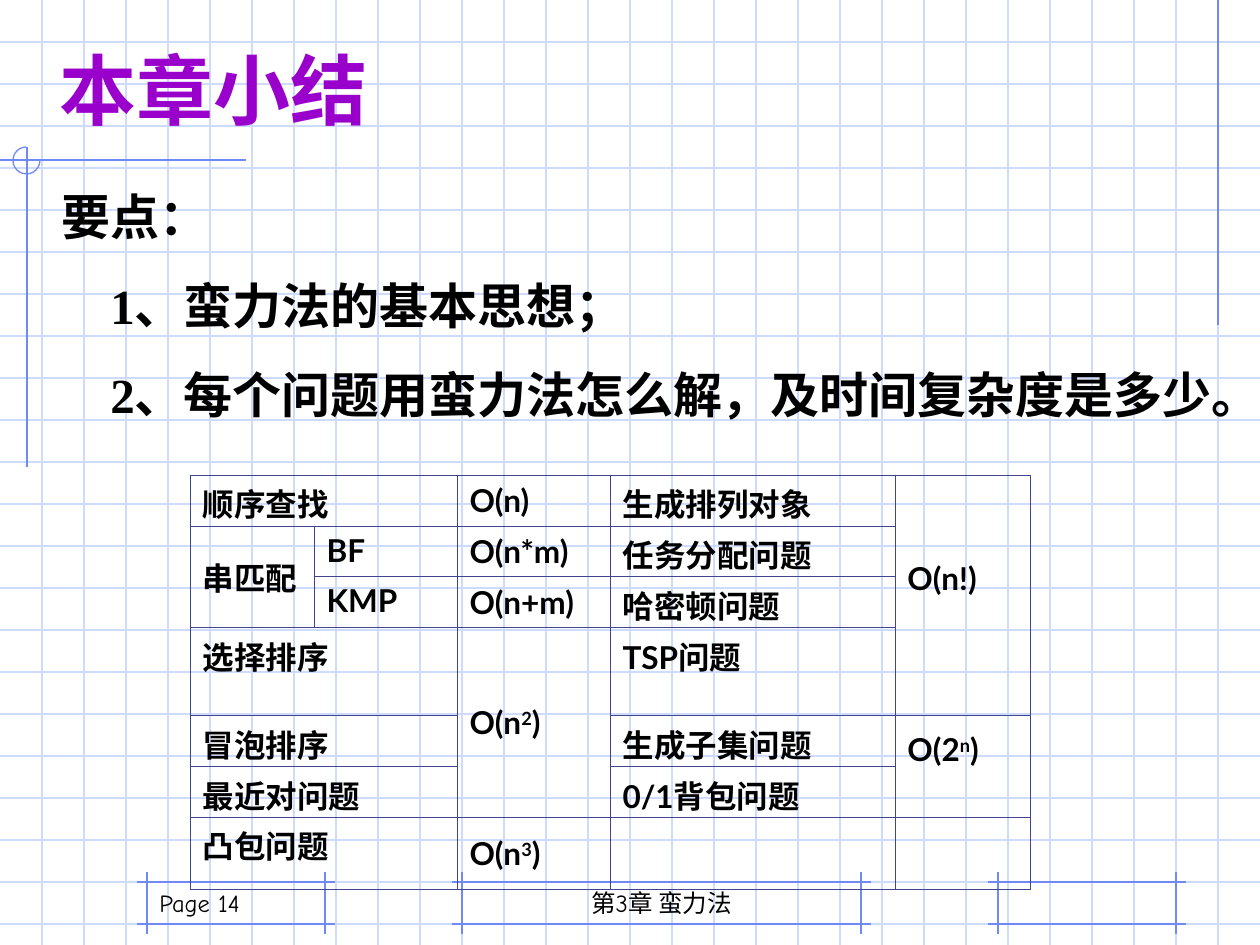
from lxml import etree
from pptx import Presentation
from pptx import util as u
from pptx.dml.color import RGBColor
from pptx.enum import shapes, text
from pptx.oxml import ns

SCALE = 914400 // 126
WIDTH, HEIGHT = 1260, 945

THEME = {
    "black": "000000", "title": "9900CC", "grid": "CFDBFD",
    "accent": "6F89F7", "border": "40458C",
    "cjk": "Noto Sans CJK SC", "body": "Times New Roman",
    "table": "Lato", "footer": "Comic Neue",
    "title_size": 44, "body_size": 28, "table_size": 18, "footer_size": 14,
}

# Content: (text, first-line indent in px)
TITLE = "本章小结"
POINTS = [
    ("要点：", 0),
    ("1、蛮力法的基本思想；", 49),
    ("2、每个问题用蛮力法怎么解，及时间复杂度是多少。", 49),
]
FOOTERS = [
    ("Page 14", 147, 262, text.PP_ALIGN.LEFT),
    ("第3章 蛮力法", 462, 399, text.PP_ALIGN.CENTER),
]

# Text between carets is superscript
TABLE = [
    ["顺序查找", "", "O(n)", "生成排列对象", "O(n!)"],
    ["串匹配", "BF", "O(n*m)", "任务分配问题", ""],
    ["", "KMP", "O(n+m)", "哈密顿问题", ""],
    ["选择排序", "", "O(n^2^)", "TSP问题", ""],
    ["冒泡排序", "", "", "生成子集问题", "O(2^n^)"],
    ["最近对问题", "", "", "0/1背包问题", ""],
    ["凸包问题", "", "O(n^3^)", "", ""],
]
COLUMNS = [124, 143, 153, 285, 135]
ROWS = [51, 50, 51, 88, 51, 50, 64]
MERGES = [((row, 0), (row, 1)) for row in (0, 3, 4, 5, 6)]
MERGES += [((1, 0), (2, 0)), ((3, 2), (5, 2)), ((0, 4), (3, 4)), ((4, 4), (5, 4))]
MIDDLE_COLUMNS = (2, 4)

# Lines: x1, y1, x2, y2
GRID_STEP = 42
GRID = [(0, y, WIDTH, y) for y in range(GRID_STEP, HEIGHT, GRID_STEP)]
GRID += [(x, 0, x, HEIGHT) for x in range(GRID_STEP, WIDTH, GRID_STEP)]
RULES = [(1218, 0, 1218, 325), (0, 160, 246, 160), (27, 147, 27, 467)]
FOOTER_FRAMES = [(462, 861), (998, 1176), (147, 325)]
FRAME_TOP, FRAME_BOTTOM, OVERHANG = 882, 924, 10


def px(value):
    return u.Emu(value * SCALE)


def color(name):
    return RGBColor.from_string(THEME[name])


def add_line(slide, ends, color_name):
    line = slide.shapes.add_connector(
        shapes.MSO_CONNECTOR.STRAIGHT, *[px(end) for end in ends])
    line.line.color.rgb = color(color_name)
    line.line.width = u.Pt(0.75)
    etree.SubElement(line._element.spPr, ns.qn("a:effectLst"))


def set_text(paragraph, words, font, size, bold=False, color_name="black",
             align=text.PP_ALIGN.LEFT, indent=0):
    paragraph.alignment = align
    if indent:
        paragraph._p.get_or_add_pPr().set("indent", str(px(indent)))
    for index, part in enumerate(words.split("^")):
        run = paragraph.add_run()
        run.text = part
        run.font.name = THEME[font]
        run.font.size = u.Pt(THEME[size])
        run.font.bold = bold
        run.font.color.rgb = color(color_name)
        properties = run.font._element
        east_asian = etree.SubElement(properties, ns.qn("a:ea"))
        east_asian.set("typeface", THEME["cjk"])
        if index % 2:
            properties.set("baseline", "30000")


def set_frame(frame, anchor=text.MSO_ANCHOR.TOP):
    frame.word_wrap = True
    frame.auto_size = text.MSO_AUTO_SIZE.NONE
    frame.vertical_anchor = anchor
    frame.margin_left = frame.margin_right = u.Inches(0.1)
    frame.margin_top = frame.margin_bottom = u.Inches(0.05)
    return frame


def set_borders(cell):
    cell.fill.background()
    properties = cell._tc.get_or_add_tcPr()
    for index, side in enumerate(("lnL", "lnR", "lnT", "lnB")):
        border = etree.Element(ns.qn("a:" + side), w=str(u.Pt(0.45)))
        fill = etree.SubElement(border, ns.qn("a:solidFill"))
        etree.SubElement(fill, ns.qn("a:srgbClr"), val=THEME["border"])
        properties.insert(index, border)


def add_background(slide):
    for ends in GRID:
        add_line(slide, ends, "grid")
    rules = list(RULES)
    for left, right in FOOTER_FRAMES:
        rules += [(left - OVERHANG, y, right + OVERHANG, y)
                  for y in (FRAME_TOP, FRAME_BOTTOM)]
        rules += [(x, FRAME_TOP - OVERHANG, x, FRAME_BOTTOM + OVERHANG)
                  for x in (left, right)]
    for ends in rules:
        add_line(slide, ends, "accent")
    # Three-quarter circle around the crossing
    arc = slide.shapes.add_shape(
        shapes.MSO_SHAPE.ARC, px(13), px(147), px(27), px(27))
    arc.adjustments[0] = 0
    arc.adjustments[1] = 162
    arc.shadow.inherit = False
    arc.fill.background()
    arc.line.color.rgb = color("accent")
    arc.line.width = u.Pt(0.75)


def add_complexity_table(slide):
    table = slide.shapes.add_table(
        len(ROWS), len(COLUMNS), px(190), px(475),
        px(sum(COLUMNS)), px(sum(ROWS))).table
    table.first_row = table.horz_banding = False
    for column, width in zip(table.columns, COLUMNS):
        column.width = px(width)
    for row, height in zip(table.rows, ROWS):
        row.height = px(height)
    for first, last in MERGES:
        table.cell(*first).merge(table.cell(*last))
    for row, values in enumerate(TABLE):
        for column, words in enumerate(values):
            cell = table.cell(row, column)
            set_borders(cell)
            middle = column in MIDDLE_COLUMNS or words == "串匹配"
            cell.vertical_anchor = (text.MSO_ANCHOR.MIDDLE if middle
                                    else text.MSO_ANCHOR.TOP)
            cell.margin_left = cell.margin_right = u.Inches(0.1)
            cell.margin_top = px(0 if middle else 5)
            cell.margin_bottom = px(34 if column == 4 else 0)
            if words:
                set_text(cell.text_frame.paragraphs[0], words,
                         "table", "table_size", bold=True)


def main():
    presentation = Presentation()
    presentation.slide_width, presentation.slide_height = px(WIDTH), px(HEIGHT)
    slide = presentation.slides.add_slide(presentation.slide_layouts[5])
    add_background(slide)

    # Footers
    for words, left, width, align in FOOTERS:
        box = slide.shapes.add_textbox(px(left), px(861), px(width), px(63))
        frame = set_frame(box.text_frame, text.MSO_ANCHOR.BOTTOM)
        set_text(frame.paragraphs[0], words, "footer", "footer_size", align=align)

    # Key points
    box = slide.shapes.add_textbox(px(49), px(181), px(1211), px(305))
    frame = set_frame(box.text_frame)
    for index, (words, indent) in enumerate(POINTS):
        paragraph = frame.add_paragraph() if index else frame.paragraphs[0]
        paragraph.line_spacing = u.Pt(33.4)
        paragraph.space_before = u.Pt(17.5 if index else 0)
        set_text(paragraph, words, "body", "body_size", bold=True, indent=indent)

    # Title, in front of the grid
    title = slide.shapes.title
    title.left, title.top, title.width, title.height = map(px, (47, 36, 1012, 117))
    frame = set_frame(title.text_frame)
    set_text(frame.paragraphs[0], TITLE, "cjk", "title_size",
             bold=True, color_name="title")
    slide.shapes._spTree.append(title._element)

    add_complexity_table(slide)
    presentation.save("out.pptx")


if __name__ == "__main__":
    main()
